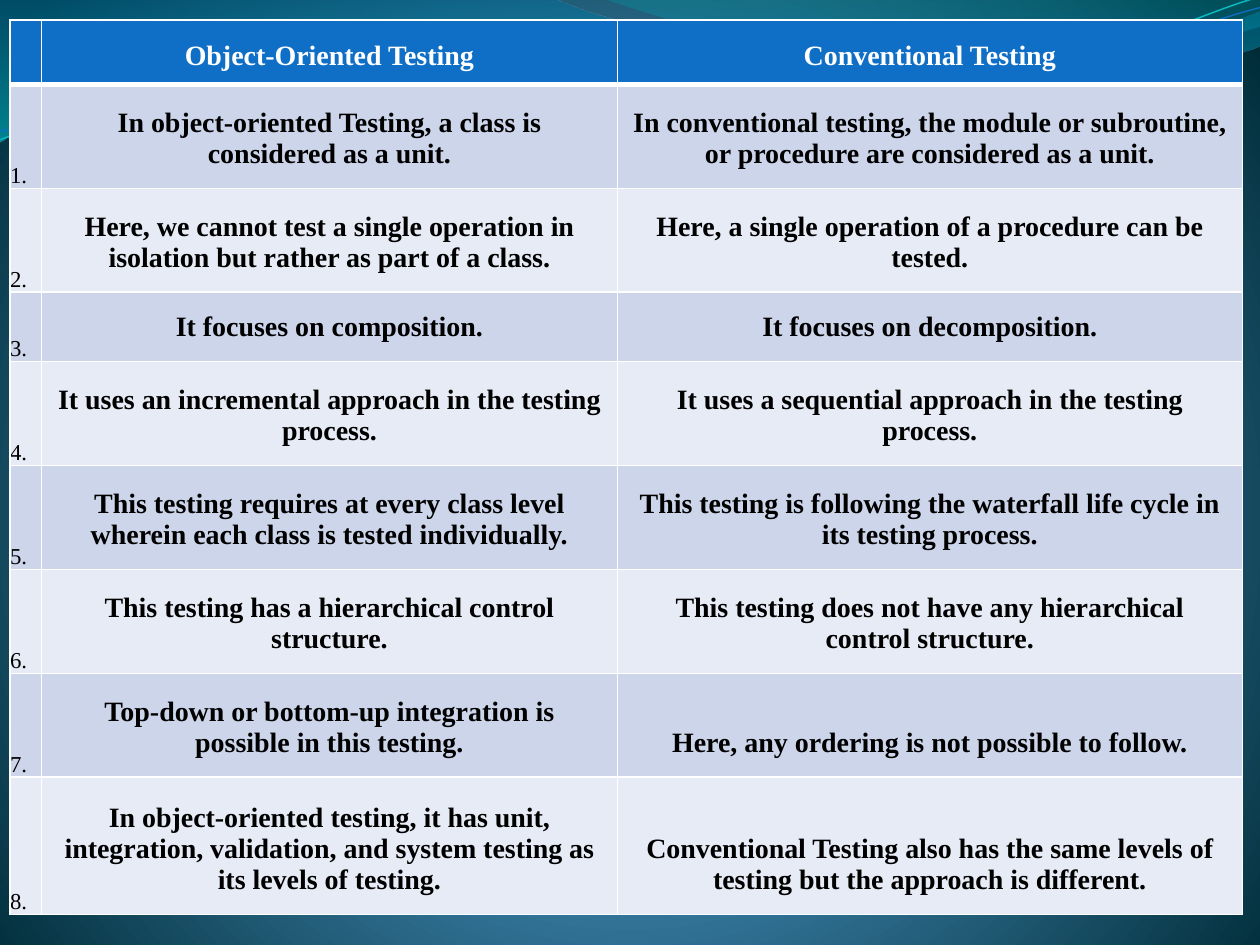
from lxml.etree import SubElement
from pptx import Presentation
from pptx.dml.color import RGBColor
from pptx.enum.text import MSO_ANCHOR as Anchor, PP_ALIGN as Align
from pptx.oxml.ns import qn
from pptx.util import Inches, Pt

FONT = "Times New Roman"
HEAD, BANDS, WHITE, BLACK = "0F6FC6", ("CCD5EA", "E7EBF5"), "FFFFFF", "000000"
WIDTHS = [0.25, 4.57, 4.96]
DOUBLE = 3.3 / 4  # height of a row with two lines
HEIGHTS = [0.51, DOUBLE, DOUBLE, 0.55] + [DOUBLE] * 4 + [1.09]
TITLES = ("Object-Oriented Testing", "Conventional Testing")
PAIRS = [
    ("In object-oriented Testing, a class is considered as a unit.",
     "In conventional testing, the module or subroutine, or procedure are considered as a unit."),
    ("Here, we cannot test a single operation in isolation but rather as part of a class.",
     "Here, a single operation of a procedure can be tested."),
    ("It focuses on composition.", "It focuses on decomposition."),
    ("It uses an incremental approach in the testing process.",
     "It uses a sequential approach in the testing process."),
    ("This testing requires at every class level wherein each class is tested individually.",
     "This testing is following the waterfall life cycle in its testing process."),
    ("This testing has a hierarchical control structure.",
     "This testing does not have any hierarchical control structure."),
    ("Top-down or bottom-up integration is possible in this testing.",
     "Here, any ordering is not possible to follow."),
    ("In object-oriented testing, it has unit, integration, validation, and system testing "
     "as its levels of testing.",
     "Conventional Testing also has the same levels of testing but the approach is different."),
]

# Each wave is a list of steps: two numbers for a line, six for a curve.
WIDE = [(0, 0), (4.4, -0.01), (4.76, 0.17, 6.64, 0.63, 7.58, 0.63),
        (8.53, 0.63, 9.58, 0.26, 10, 0.09), (10.01, 0.36),
        (9.83, 0.44, 8.7, 0.76, 7.46, 0.75), (6.22, 0.75, 3.82, 0.28, 2.57, 0.34),
        (1.29, 0.36, 0.46, 0.83, -0.01, 1.13), (0, 0)]
SMALL = [(4.79, -0.01), (5.09, 0.11, 6.82, 0.62, 7.69, 0.65),
         (8.56, 0.69, 9.61, 0.32, 10, 0.21), (10, 0), (4.79, -0.01)]
UPPER = [(0, 1.11), (0.48, 0.93, 1.58, 0.57, 2.77, 0.52),
         (3.95, 0.47, 5.93, 0.89, 7.13, 0.8), (8.33, 0.71, 9.38, 0.15, 9.98, -0.02)]
LOWER = [(0, 1.04), (0.47, 0.96, 1.64, 0.61, 2.83, 0.56),
         (4.03, 0.51, 5.97, 0.84, 7.17, 0.75), (8.36, 0.67, 9.41, 0.21, 10, 0.06)]


def rgb(code):
    return RGBColor.from_string(code)


def blend(fill, root, stops):
    """Give fill, found under root, stops of (percent, colour, alpha); return its XML."""
    fill.gradient()
    grad = next(root.iter(qn("a:gradFill")))
    for child in list(grad):
        grad.remove(child)
    items = SubElement(grad, qn("a:gsLst"))
    for pos, code, alpha in stops:
        stop = SubElement(items, qn("a:gs"), pos=str(pos * 1000))
        color = SubElement(stop, qn("a:srgbClr"), val=code)
        if alpha < 100:
            SubElement(color, qn("a:alpha"), val=str(alpha * 1000))
    return grad


def paint_back(slide):
    stops = [(0, "4AA0D6", 100), (25, "4C98C7", 100), (100, "002C38", 100)]
    grad = blend(slide.background.fill, slide.element, stops)
    shade = SubElement(grad, qn("a:path"), path="circle")
    SubElement(shade, qn("a:fillToRect"), l="10000", t="110000", r="10000", b="100000")


def add_wave(slide, steps, close):
    """Draw the outline through the end of each step, then bend its curved steps."""
    ends = [(Inches(step[-2]), Inches(step[-1])) for step in steps]
    pen = slide.shapes.build_freeform(*ends[0])
    pen.add_line_segments(ends[1:], close=close)
    wave = pen.convert_to_shape()
    wave.shadow.inherit = False
    lines = list(wave.element.iter(qn("a:lnTo")))
    for line, step in zip(lines, steps[1:]):
        if len(step) == 6:
            line.tag = qn("a:cubicBezTo")
            for i in (2, 0):
                x, y = Inches(step[i]) - wave.left, Inches(step[i + 1]) - wave.top
                point = SubElement(line, qn("a:pt"), x=str(x), y=str(y))
                line.insert(0, point)
    return wave


def add_band(slide, steps, stops):
    band = add_wave(slide, steps, True)
    band.line.fill.background()
    grad = blend(band.fill, band.element, stops)
    SubElement(grad, qn("a:lin"), ang="5400000", scaled="0")


def add_curve(slide, steps, color, width):
    curve = add_wave(slide, steps, False)
    curve.fill.background()
    curve.line.color.rgb = rgb(color)
    curve.line.width = Pt(width)


def set_edges(cell, low):
    props = cell._tc.get_or_add_tcPr()
    for side, width in (("L", 1), ("R", 1), ("T", 1), ("B", low)):
        edge = SubElement(props, qn("a:ln" + side), w=str(Pt(width)))
        fill = SubElement(edge, qn("a:solidFill"))
        SubElement(fill, qn("a:srgbClr"), val=WHITE)


def fill_cell(cell, text, color, size, bold, pad):
    """Write text at the foot of the cell; pad holds the side and end margins."""
    cell.vertical_anchor = Anchor.BOTTOM
    cell.margin_left = cell.margin_right = Inches(pad[0])
    cell.margin_top = cell.margin_bottom = Inches(pad[1])
    para = cell.text_frame.paragraphs[0]
    para.alignment = Align.CENTER if bold else Align.LEFT
    run = para.add_run()
    run.text = text
    font = run.font
    font.name, font.size, font.bold = FONT, Pt(size), bold
    font.color.rgb = rgb(color)


def add_grid(slide):
    frame = slide.shapes.add_table(len(HEIGHTS), len(WIDTHS), Inches(0.08), Inches(0.16),
                                   Inches(sum(WIDTHS)), Inches(sum(HEIGHTS)))
    table = frame.table
    for col, width in zip(table.columns, WIDTHS):
        col.width = Inches(width)
    for row, height in zip(table.rows, HEIGHTS):
        row.height = Inches(height)
    rows = [("", *TITLES)] + [(f"{n}.", *pair) for n, pair in enumerate(PAIRS, 1)]
    for r, texts in enumerate(rows):
        for c, text in enumerate(texts):
            cell = table.cell(r, c)
            set_edges(cell, low=1 if r else 3)
            cell.fill.solid()
            cell.fill.fore_color.rgb = rgb(BANDS[(r - 1) % 2] if r else HEAD)
            if not text:
                continue
            if c == 0:
                fill_cell(cell, text, BLACK, 13, False, (0, 0))
            elif r == 0:
                fill_cell(cell, text, WHITE, 16, True, (0.1, 0.1))
            else:
                fill_cell(cell, text, BLACK, 16, True, (0.11, 0.15))


def main():
    deck = Presentation()
    deck.slide_width, deck.slide_height = Inches(10), Inches(7.5)
    slide = deck.slides.add_slide(deck.slide_layouts[6])
    paint_back(slide)
    add_band(slide, WIDE, [(0, "0074A1", 45), (100, "00C6CF", 55)])
    add_band(slide, SMALL, [(0, "00A1A9", 30), (80, "008BBF", 45)])
    add_curve(slide, UPPER, "0AB8BF", 0.85)
    add_curve(slide, LOWER, HEAD, 0.75)
    add_grid(slide)
    deck.save("out.pptx")


if __name__ == "__main__":
    main()
